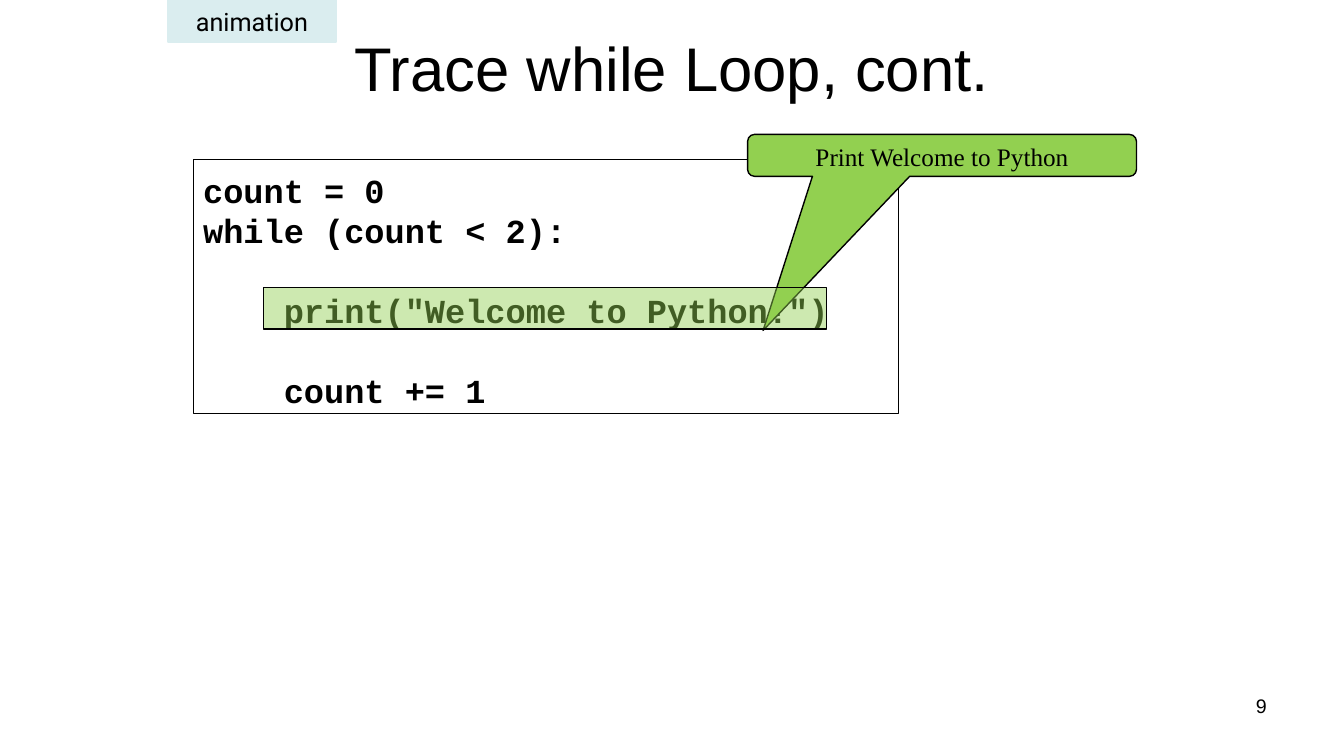
from lxml import etree
from pptx import Presentation, util as u
from pptx.dml.color import RGBColor
from pptx.enum import shapes, text
from pptx.oxml import ns

COLUMNS, ROWS = 160, 90
BLACK, GREEN, PALE_BLUE = "000000", "92D050", "DAEDEF"


def color(value):
    return RGBColor.from_string(value)


class SlideBuilder:
    fonts = {
        "title": {"name": "Arial", "size": u.Pt(44), "bold": False},
        "code": {"name": "Courier New", "size": u.Pt(24), "bold": True},
        "callout": {"name": "Times New Roman", "size": u.Pt(18)},
        "tag": {"name": "Roboto", "size": u.Pt(18)},
        "number": {"name": "Arial", "size": u.Pt(14)},
    }
    line_height = u.Pt(28.6)

    def __init__(self, presentation):
        self.column = presentation.slide_width / COLUMNS
        self.row = presentation.slide_height / ROWS
        self.slide = presentation.slides.add_slide(presentation.slide_layouts[5])

    def place(self, left, top, width, height):
        return [round(left * self.column), round(top * self.row),
                round(width * self.column), round(height * self.row)]

    def label(self, shape, content, style, align="CENTER", anchor="TOP", wrap=True):
        frame = shape.text_frame
        frame.text = content
        frame.word_wrap = wrap
        frame.vertical_anchor = getattr(text.MSO_ANCHOR, anchor)
        for paragraph in frame.paragraphs:
            paragraph.alignment = getattr(text.PP_ALIGN, align)
            for name, value in self.fonts[style].items():
                setattr(paragraph.font, name, value)
            paragraph.font.color.rgb = color(BLACK)

    def title(self, content, *area):
        shape = self.slide.shapes.title
        names = ("left", "top", "width", "height")
        for name, value in zip(names, self.place(*area)):
            setattr(shape, name, value)
        self.label(shape, content, "title", anchor="MIDDLE")

    def box(self, *area, kind="RECTANGLE", fill=None, opacity=None, line=BLACK, weight=1):
        preset = getattr(shapes.MSO_SHAPE, kind)
        shape = self.slide.shapes.add_shape(preset, *self.place(*area))
        shape.shadow.inherit = False
        shape.line.color.rgb = color(line)
        shape.line.width = u.Pt(weight)
        if fill is None:
            shape.fill.background()
        else:
            shape.fill.solid()
            shape.fill.fore_color.rgb = color(fill)
        if opacity is not None:
            tint = shape.element.spPr.find(ns.qn("a:solidFill")).find(ns.qn("a:srgbClr"))
            etree.SubElement(tint, ns.qn("a:alpha"), val=str(opacity * 1000))
        return shape

    def code(self, lines, *area):
        shape = self.box(*area, weight=0.75)
        self.label(shape, "\n".join(lines), "code", align="LEFT")
        shape.text_frame.margin_top = u.Inches(0.1)
        for index, paragraph in enumerate(shape.text_frame.paragraphs):
            paragraph.line_spacing = self.line_height
            if index > 1:
                paragraph.space_before = self.line_height

    def callout(self, content, pointer, *area):
        shape = self.box(*area, kind="ROUNDED_RECTANGULAR_CALLOUT", fill=GREEN)
        for index, value in enumerate(pointer):
            shape.adjustments[index] = value
        self.label(shape, content, "callout")

    def tag(self, content, *area):
        shape = self.box(*area, fill=PALE_BLUE, line=PALE_BLUE)
        self.label(shape, content, "tag", anchor="MIDDLE", wrap=False)

    def number(self, content, *area):
        shape = self.slide.shapes.add_textbox(*self.place(*area))
        self.label(shape, content, "number", align="RIGHT")


def main():
    presentation = Presentation()
    presentation.slide_width = u.Inches(13.33)
    presentation.slide_height = u.Inches(7.5)
    builder = SlideBuilder(presentation)
    builder.title("Trace while Loop, cont.", 29, 3, 102, 10)
    builder.code([
        "count = 0",
        "while (count < 2):",
        '    print("Welcome to Python!")',
        "    count += 1",
    ], 23, 19, 84, 30.25)
    builder.callout("Print Welcome to Python", (-0.46, 4.17, 0.17), 89, 16, 46.3, 5)
    builder.box(31.4, 34.2, 67, 5, fill=GREEN, opacity=45)
    builder.tag("animation", 20, 0, 20, 5)
    builder.number("9", 114.7, 82, 37.3, 6.2)
    presentation.save("out.pptx")


if __name__ == "__main__":
    main()
